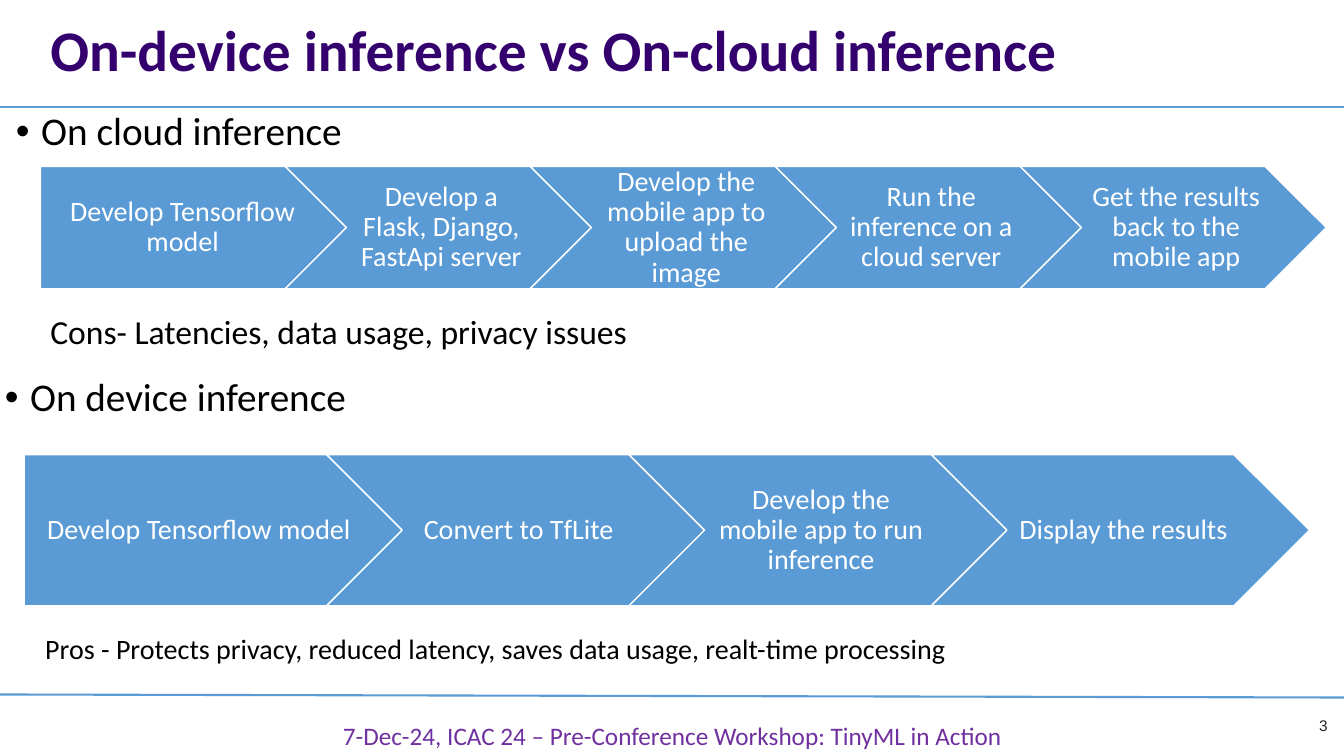
"""Build a slide comparing on-cloud and on-device inference as two process flows."""
from dataclasses import dataclass, field
from typing import Any

from pptx import Presentation
from pptx.dml.color import RGBColor
from pptx.enum.shapes import MSO_CONNECTOR, MSO_SHAPE
from pptx.enum.text import MSO_ANCHOR, MSO_AUTO_SIZE, PP_ALIGN
from pptx.oxml.xmlchemy import OxmlElement
from pptx.slide import Slide
from pptx.text.text import TextFrame
from pptx.util import Inches, Pt

COLORS = {
    "blue": "5B9BD5",
    "white": "FFFFFF",
    "black": "000000",
    "title": "34006E",
    "footer": "7030A0",
    "number": "262626",
}
SLIDE_WIDTH, SLIDE_HEIGHT = Inches(13.33), Inches(7.5)
COLUMNS, ROWS = 160, 90
STEP_PITCH, STEP_HEIGHT = 0.8, 0.4
FITTED = {"word_wrap": False, "auto_size": MSO_AUTO_SIZE.SHAPE_TO_FIT_TEXT}
WRAPPED = {"word_wrap": True}


@dataclass
class Label:
    text: str
    column: float
    row: float
    columns: float
    rows: float
    size: float
    color: str = "black"
    frame: dict[str, Any] = field(default_factory=lambda: WRAPPED)
    paragraph: dict[str, Any] = field(default_factory=dict)
    font: dict[str, Any] = field(default_factory=dict)
    bullet: bool = False


@dataclass
class Flow:
    column: float
    row: float
    step_columns: float
    steps: list[str]


@dataclass
class Rule:
    start_row: float
    end_row: float


TIGHT = {"line_spacing": 0.9}
RULES = [Rule(82.68, 83.04), Rule(12.72, 12.72)]
LABELS = [
    Label("7-Dec-24, ICAC 24 – Pre-Conference Workshop: TinyML in Action",
          38.4, 85.2, 83.28, 4.8, 18, "footer", FITTED, {"alignment": PP_ALIGN.CENTER}),
    Label("3", 152.52, 84, 6.72, 4.8, 11, "number",
          {"word_wrap": False, "vertical_anchor": MSO_ANCHOR.MIDDLE},
          {"alignment": PP_ALIGN.RIGHT}, {"name": "Arial"}),
    Label("On-device inference vs On-cloud inference", 4.8, 0.6, 138, 11.4, 41, "title",
          {"word_wrap": True, "vertical_anchor": MSO_ANCHOR.MIDDLE}, TIGHT, {"bold": True}),
    Label("On cloud inference", 0.72, 12.72, 138, 9.84, 28, paragraph=TIGHT, bullet=True),
    Label("Cons- Latencies, data usage, privacy issues",
          4.8, 36.48, 71.76, 6, 24, frame=FITTED),
    Label("On device inference", -0.6, 44.4, 138, 11.4, 28, paragraph=TIGHT, bullet=True),
    Label("Pros - Protects privacy, reduced latency, saves data usage, realt-time processing",
          4.2, 74.64, 111.48, 5.28, 20, frame=FITTED),
]
FLOWS = [
    Flow(4.8, 19.8, 36.45, [
        "Develop Tensorflow model",
        "Develop a Flask, Django, FastApi server",
        "Develop the mobile app to upload the image",
        "Run the inference on a cloud server",
        "Get the results back to the mobile app",
    ]),
    Flow(2.88, 54.12, 45, [
        "Develop Tensorflow model",
        "Convert to TfLite",
        "Develop the mobile app to run inference",
        "Display the results",
    ]),
]


def across(columns: float) -> int:
    """Convert grid columns to a slide length."""
    return round(SLIDE_WIDTH * columns / COLUMNS)


def down(rows: float) -> int:
    """Convert grid rows to a slide length."""
    return round(SLIDE_HEIGHT * rows / ROWS)


def color(name: str) -> RGBColor:
    """Look up a named colour."""
    return RGBColor.from_string(COLORS[name])


def apply(target: Any, values: dict[str, Any]) -> None:
    """Set each format value on the target."""
    for name, value in values.items():
        setattr(target, name, value)


def write(frame: TextFrame, text: str, color_name: str, frame_values: dict[str, Any],
          paragraph_values: dict[str, Any], font_values: dict[str, Any],
          bullet: bool = False) -> None:
    """Fill a text frame with one formatted paragraph."""
    apply(frame, frame_values)
    paragraph = frame.paragraphs[0]
    if bullet:
        properties = paragraph._p.get_or_add_pPr()
        properties.set("marL", str(Inches(0.25)))
        properties.set("indent", str(-Inches(0.25)))
        for tag, key, value in (("a:buFont", "typeface", "Arial"), ("a:buChar", "char", "•")):
            element = OxmlElement(tag)
            element.set(key, value)
            properties.append(element)
    apply(paragraph, paragraph_values)
    run = paragraph.add_run()
    run.text = text
    apply(run.font, {"name": "Calibri"} | font_values)
    run.font.color.rgb = color(color_name)


def draw_rule(slide: Slide, rule: Rule) -> None:
    """Draw a line across the full slide."""
    line = slide.shapes.add_connector(MSO_CONNECTOR.STRAIGHT, 0, down(rule.start_row),
                                      SLIDE_WIDTH, down(rule.end_row))
    line.line.color.rgb = color("blue")
    line.line.width = Pt(1.5)
    line._element.spPr.append(OxmlElement("a:effectLst"))


def draw_label(slide: Slide, label: Label) -> None:
    """Draw a text box."""
    box = slide.shapes.add_textbox(across(label.column), down(label.row),
                                   across(label.columns), down(label.rows))
    write(box.text_frame, label.text, label.color, label.frame, label.paragraph,
          {"size": Pt(label.size)} | label.font, label.bullet)


def draw_flow(slide: Slide, flow: Flow) -> None:
    """Draw a group of arrow steps that interlock from left to right."""
    group = slide.shapes.add_group_shape()
    width = across(flow.step_columns)
    for index, text in enumerate(flow.steps):
        kind = MSO_SHAPE.CHEVRON if index else MSO_SHAPE.PENTAGON
        left = across(flow.column) + round(index * width * STEP_PITCH)
        step = group.shapes.add_shape(kind, left, down(flow.row), width,
                                      round(width * STEP_HEIGHT))
        step.shadow.inherit = False
        step.fill.solid()
        step.fill.fore_color.rgb = color("blue")
        step.line.color.rgb = color("white")
        step.line.width = Pt(1)
        frame_values = {
            "word_wrap": True,
            "vertical_anchor": MSO_ANCHOR.MIDDLE,
            "margin_left": Inches(0.09 if index else 0.12),
            "margin_right": Inches(0.03),
            "margin_top": Inches(0.06),
            "margin_bottom": Inches(0.06),
        }
        write(step.text_frame, text, "white", frame_values,
              TIGHT | {"alignment": PP_ALIGN.CENTER}, {"size": Pt(20)})


def main() -> None:
    """Build and save the presentation."""
    presentation = Presentation()
    apply(presentation, {"slide_width": SLIDE_WIDTH, "slide_height": SLIDE_HEIGHT})
    slide = presentation.slides.add_slide(presentation.slide_layouts[6])
    for draw, items in ((draw_rule, RULES), (draw_label, LABELS), (draw_flow, FLOWS)):
        for item in items:
            draw(slide, item)
    presentation.save("out.pptx")


if __name__ == "__main__":
    main()
